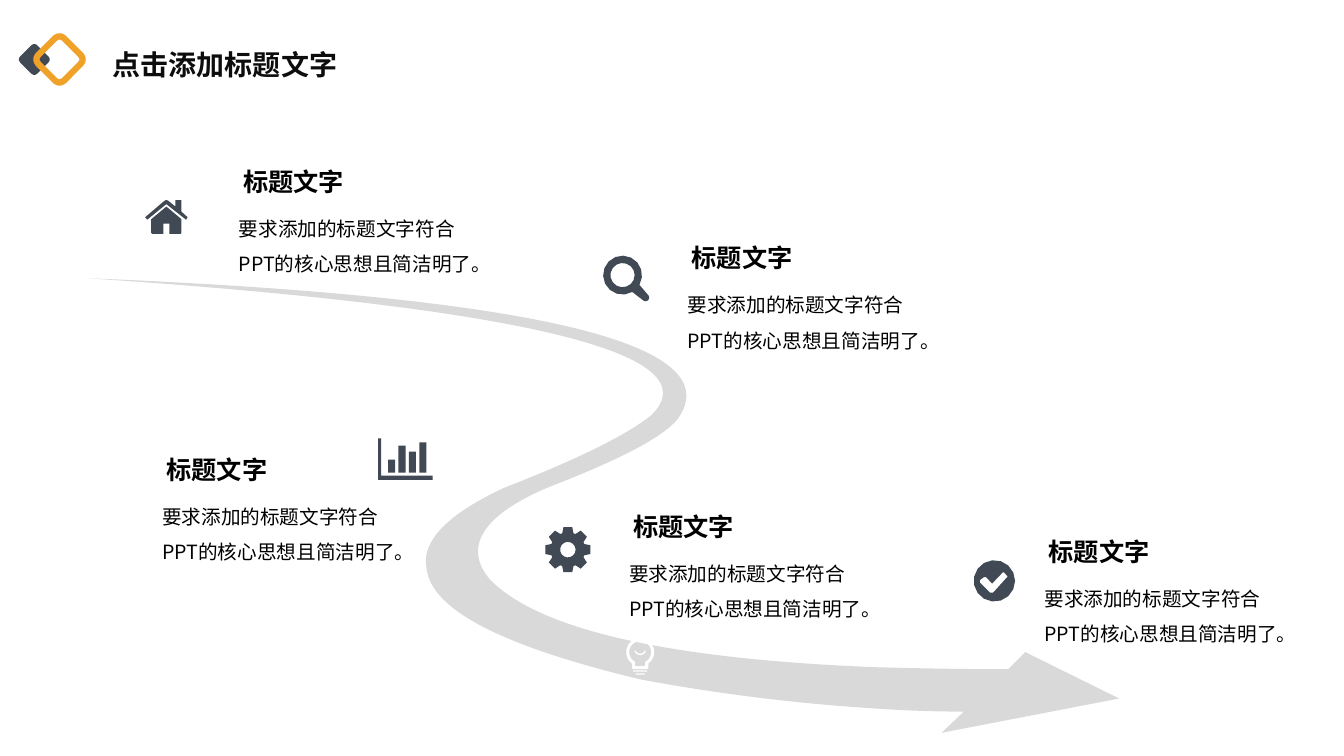
"""Build a winding-road slide with five captioned milestones."""
import dataclasses
import itertools
import math
import typing

import lxml.etree
import pptx
import pptx.dml.color
import pptx.enum.shapes
import pptx.enum.text
import pptx.oxml.ns
import pptx.util

COLUMNS, ROWS = 1333, 750
CELL = pptx.util.Inches(7.5) // ROWS
FONT = "Noto Sans CJK SC"
SLATE, ORANGE, ROAD_GREY, WHITE, BLACK = "414954", "EFA128", "D9D9D9", "FFFFFF", "000000"
HEADING = "标题文字"
DETAIL = "要求添加的标题文字符合PPT的核心思想且简洁明了。"

Point = tuple[float, float]
Contour = list[Point]


@dataclasses.dataclass(frozen=True)
class Figure:
    """A filled outline with holes, whose first points may be cubic curves."""
    contours: list[Contour]
    colour: str
    curves: int = 0


@dataclasses.dataclass(frozen=True)
class Caption:
    """The grid position of a heading with its detail below."""
    column: float
    row: float


@dataclasses.dataclass(frozen=True)
class Label:
    """A text box on the grid with its formatting."""
    text: str
    column: float
    row: float
    width: float
    height: float
    size: float
    colour: str = BLACK
    bold: bool = False
    centred: bool = False
    line_spacing: float = 1.0


@dataclasses.dataclass(frozen=True)
class Diamond:
    """A rotated rounded square of the title mark."""
    column: float
    row: float
    side: float
    fill: str | None = None
    line: str | None = None


def cells(count: float) -> pptx.util.Emu:
    """Convert grid cells to a length."""
    return pptx.util.Emu(round(count * CELL))


def colour_of(value: str) -> pptx.dml.color.RGBColor:
    """Convert a hex string to a colour."""
    return pptx.dml.color.RGBColor.from_string(value)


def arc(centre: Point, radius: float, start: float = 0, end: float = 360) -> Contour:
    """Return points along an arc, with angles in degrees clockwise from the right."""
    steps = math.ceil(abs(end - start) / 24)
    angles = [math.radians(start + (end - start) * step / steps) for step in range(steps + 1)]
    return [(centre[0] + radius * math.cos(angle), centre[1] + radius * math.sin(angle))
            for angle in angles]


def box(left: float, top: float, right: float, bottom: float) -> Contour:
    """Return the corners of a rectangle."""
    return [(left, top), (right, top), (right, bottom), (left, bottom)]


def gear_teeth(centre: Point, teeth: int = 8) -> Contour:
    """Return the outline of a gear."""
    corners = ((-19, 17.2), (-11, 22.8), (11, 22.8), (19, 17.2))
    return [arc(centre, radius, 360 * tooth / teeth + angle, 360)[0]
            for tooth, (angle, radius) in itertools.product(range(teeth), corners)]


ROAD = [
    (956, 706), (927, 706), (898, 705), (870, 703), (788, 698), (710, 688), (635, 674),
    (498, 641), (427, 605), (423, 563), (418, 537), (444, 510), (500, 484),
    (572, 456), (621, 432), (646, 412), (708, 351), (521, 305), (86, 276),
    (531, 294), (726, 341), (672, 416), (657, 434), (615, 456), (545, 483),
    (478, 511), (459, 543), (486, 575), (535, 625), (663, 654), (870, 662),
    (910, 663), (954, 664), (1000, 664), (1017, 647), (1110, 693), (934, 727)]
ROOF = [(146, 218), (144, 215.5), (163, 199.3), (165, 198.4), (167, 199.3), (174, 205),
        (174, 198.5), (180, 198.5), (180, 210), (186, 215.5), (184.5, 218), (165, 202.5)]
WALLS = [(165, 205), (180, 217.5), (180, 231), (179, 232), (168, 232), (168, 222),
         (162, 222), (162, 232), (151, 232), (150, 231), (150, 217.5)]
LENS = (617.5, 273)
LENS_RIM = arc(LENS, 19.3, 60, 390) + arc((640.3, 295.3), 3.6, -45, 135)
CHART_AXES = [(375, 435), (378, 435), (378, 472), (429, 472), (429, 476), (375, 476)]
CHART_BARS = [box(385 + 10.3 * index, top, 392 + 10.3 * index, 469)
              for index, top in enumerate((456, 442, 448, 439))]
GEAR = (563.2, 545.3)
TICK = [(999.5, 572), (996, 568), (994.5, 568), (984, 579), (978, 572.5), (976, 572.5),
        (972, 575.5), (972, 578), (982, 588), (985, 588)]
BULB = (635, 647)
BULB_OUTSIDE = arc(BULB, 14, 125, 415) + [(643, 663), (641, 664), (629, 664), (627, 663)]
BULB_INSIDE = arc(BULB, 11, 117, 423) + [(640, 661), (630, 661)]
SMILE = arc((635, 644), 6, 20, 160) + arc((635, 643.5), 5, 160, 20)

FIGURES = [
    Figure([ROAD], ROAD_GREY, curves=11),
    Figure([ROOF, WALLS], SLATE),
    Figure([LENS_RIM, arc(LENS, 12)], SLATE),
    Figure([CHART_AXES, *CHART_BARS], SLATE),
    Figure([gear_teeth(GEAR), arc(GEAR, 7.7)], SLATE),
    Figure([arc((986.3, 576.3), 20.5), TICK], SLATE),
    Figure([BULB_OUTSIDE, BULB_INSIDE, SMILE, box(628, 665, 642, 666.4),
            box(630.5, 668, 639.5, 669.4)], WHITE),
]
CAPTIONS = [Caption(220, 160), Caption(144, 446), Caption(665, 236),
            Caption(607, 502), Caption(1019, 527)]
DIAMONDS = [Diamond(22, 47, 24, fill=SLATE), Diamond(41, 41, 36, line=ORANGE)]


def draw_figure(shapes: typing.Any, figure: Figure) -> None:
    """Draw all contours of a figure as one freeform."""
    outlines = [[(cells(x), cells(y)) for x, y in contour] for contour in figure.contours]
    builder = shapes.build_freeform(*outlines[0][0], scale=1.0)
    builder.add_line_segments(outlines[0][1:], close=True)
    for outline in outlines[1:]:
        builder.move_to(*outline[0])
        builder.add_line_segments(outline[1:], close=True)
    shape = builder.convert_to_shape()
    segments = list(shape._element.iter(pptx.oxml.ns.qn("a:lnTo")))
    for index in range(0, 3 * figure.curves, 3):
        bend = lxml.etree.Element(pptx.oxml.ns.qn("a:cubicBezTo"))
        segments[index].addprevious(bend)
        for segment in segments[index:index + 3]:
            bend.append(segment[0])
            segment.getparent().remove(segment)
    shape.shadow.inherit = False
    shape.fill.solid()
    shape.fill.fore_color.rgb = colour_of(figure.colour)
    shape.line.fill.background()


def draw_label(shapes: typing.Any, label: Label) -> None:
    """Draw a wrapped text box."""
    shape = shapes.add_textbox(*map(cells, (label.column, label.row, label.width, label.height)))
    text_frame = shape.text_frame
    text_frame.word_wrap = True
    text_frame.auto_size = pptx.enum.text.MSO_AUTO_SIZE.SHAPE_TO_FIT_TEXT
    text_frame.text = label.text
    paragraph = text_frame.paragraphs[0]
    paragraph.line_spacing = label.line_spacing
    if label.centred:
        paragraph.alignment = pptx.enum.text.PP_ALIGN.CENTER
    font = paragraph.runs[0].font
    font.name, font.size, font.bold = FONT, pptx.util.Pt(label.size), label.bold
    font.color.rgb = colour_of(label.colour)
    properties = paragraph.runs[0]._r.get_or_add_rPr()
    lxml.etree.SubElement(properties, pptx.oxml.ns.qn("a:ea"), typeface=FONT)


def draw_diamond(shapes: typing.Any, diamond: Diamond) -> None:
    """Draw a rounded square standing on its corner."""
    shape = shapes.add_shape(pptx.enum.shapes.MSO_SHAPE.ROUNDED_RECTANGLE, *map(
        cells, (diamond.column, diamond.row, diamond.side, diamond.side)))
    shape.rotation = 45
    shape.shadow.inherit = False
    for format_part, colour in ((shape.fill, diamond.fill), (shape.line.fill, diamond.line)):
        if colour is None:
            format_part.background()
        else:
            format_part.solid()
            format_part.fore_color.rgb = colour_of(colour)
    if diamond.line:
        shape.line.width = pptx.util.Pt(4.5)


def main() -> None:
    """Build and save the presentation."""
    presentation = pptx.Presentation()
    presentation.slide_width, presentation.slide_height = cells(COLUMNS), cells(ROWS)
    shapes = presentation.slides.add_slide(presentation.slide_layouts[6]).shapes
    for figure in FIGURES:
        draw_figure(shapes, figure)
    for caption in CAPTIONS:
        draw_label(shapes, Label(HEADING, caption.column, caption.row, 142, 40, 18,
                                 bold=True, centred=True))
        draw_label(shapes, Label(DETAIL, caption.column + 7, caption.row + 38.5, 259, 77, 14,
                                 line_spacing=1.5))
    draw_label(shapes, Label("点击添加标题文字", 102, 42, 360, 44, 20, "0D0D0D", bold=True))
    title_mark = shapes.add_group_shape()
    for diamond in DIAMONDS:
        draw_diamond(title_mark.shapes, diamond)
    presentation.save("out.pptx")


if __name__ == "__main__":
    main()
